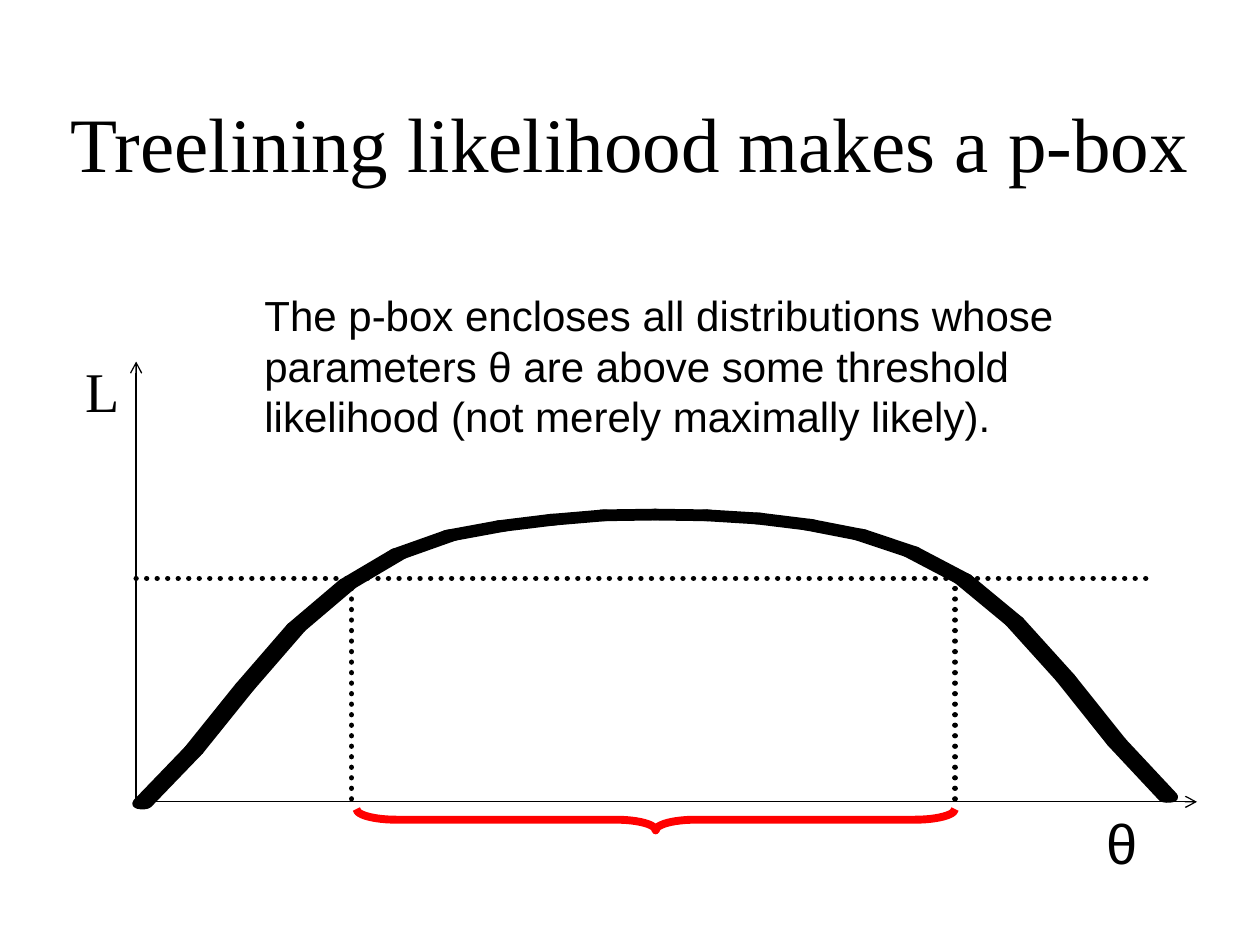
"""Build a slide showing how a likelihood threshold makes a p-box."""
from itertools import pairwise
from math import atan2, cos, pi, sin

from pptx import Presentation
from pptx.dml.color import RGBColor
from pptx.enum.dml import MSO_LINE
from pptx.enum.shapes import MSO_CONNECTOR, MSO_SHAPE
from pptx.enum.text import MSO_ANCHOR, MSO_AUTO_SIZE, PP_ALIGN
from pptx.oxml.ns import qn
from pptx.util import Pt
from lxml.etree import SubElement

COLORS = {"ink": "000000", "brace": "FF0000"}
AXIS_LEFT, AXIS_BOTTOM = 77.8, 458.2
THRESHOLD, INTERVAL = 330.5, (200.9, 545.8)
CURVE_LEFT, CURVE_STEP = 81.4, 29.3
CURVE_HEIGHTS = (
    459.2, 428.8, 392.4, 358.6, 333.7, 316.4, 306, 300.6, 297, 294.5, 294.1,
    294.5, 296.3, 299.9, 305.6, 315.4, 330.8, 355, 387.4, 424.1, 455.4,
)
NIB_WIDTH, NIB_HEIGHT, NIB_STEPS = 3.6, 1.1, 6


def place(shape, left, top, width, height):
    for name, value in zip(("left", "top", "width", "height"), (left, top, width, height)):
        setattr(shape, name, Pt(value))


def format_line(shape, color, width):
    shape.line.color.rgb = RGBColor.from_string(COLORS[color])
    shape.line.width = Pt(width)


def write_text(shape, text, font, frame, alignment=PP_ALIGN.LEFT):
    text_frame = shape.text_frame
    for name, value in frame.items():
        setattr(text_frame, name, value)
    paragraph = text_frame.paragraphs[0]
    paragraph.text = text
    paragraph.alignment = alignment
    for name, value in font.items():
        setattr(paragraph.runs[0].font, name, value)
    paragraph.runs[0].font.color.rgb = RGBColor.from_string(COLORS["ink"])


def add_text(shapes, box, text, typeface, size, wrap):
    frame = {"word_wrap": wrap, "auto_size": MSO_AUTO_SIZE.SHAPE_TO_FIT_TEXT}
    shape = shapes.add_textbox(*map(Pt, box))
    write_text(shape, text, {"name": typeface, "size": Pt(size)}, frame)


def add_line(shapes, start, end, width, dotted=False):
    connector = shapes.add_connector(MSO_CONNECTOR.STRAIGHT, *map(Pt, (*start, *end)))
    format_line(connector, "ink", width)
    properties = connector.element.spPr
    line = properties.find(qn("a:ln"))
    if dotted:
        connector.line.dash_style = MSO_LINE.ROUND_DOT
        line.set("cap", "rnd")
    else:
        SubElement(line, qn("a:tailEnd"), type="arrow")
    SubElement(properties, qn("a:effectLst"))


def nib_arc(center, first_angle):
    angles = [first_angle + pi * step / NIB_STEPS for step in range(NIB_STEPS + 1)]
    return [
        (Pt(center[0] + NIB_WIDTH * cos(angle)), Pt(center[1] + NIB_HEIGHT * sin(angle)))
        for angle in angles
    ]


def add_stroke(shapes, start, end):
    heading = atan2((end[1] - start[1]) / NIB_HEIGHT, (end[0] - start[0]) / NIB_WIDTH)
    outline = nib_arc(end, heading - pi / 2) + nib_arc(start, heading + pi / 2)
    builder = shapes.build_freeform(*outline[0])
    builder.add_line_segments(outline[1:], close=True)
    shape = builder.convert_to_shape()
    shape.shadow.inherit = False
    shape.fill.solid()
    shape.fill.fore_color.rgb = RGBColor.from_string(COLORS["ink"])
    format_line(shape, "ink", 4.5)


def add_curve(slide):
    shapes = slide.shapes.add_group_shape().shapes
    points = [(CURVE_LEFT + CURVE_STEP * i, y) for i, y in enumerate(CURVE_HEIGHTS)]
    for start, end in pairwise(points):
        add_stroke(shapes, start, end)


def add_axes(slide):
    shapes = slide.shapes.add_group_shape().shapes
    origin = (AXIS_LEFT, AXIS_BOTTOM)
    for end in ((684, AXIS_BOTTOM), (AXIS_LEFT, 206.6)):
        add_line(shapes, origin, end, 0.75)


def add_brace(slide):
    brace = slide.shapes.add_shape(MSO_SHAPE.LEFT_BRACE, *map(Pt, (368.6, 297.4, 12.2, 342)))
    brace.rotation = 270
    brace.adjustments[0] = 1.864
    brace.adjustments[1] = 0.5
    brace.shadow.inherit = False
    brace.fill.background()
    format_line(brace, "brace", 4.5)


def add_interval(slide):
    shapes = slide.shapes.add_group_shape().shapes
    for x in INTERVAL:
        add_line(shapes, (x, 456.5), (x, THRESHOLD), 3, dotted=True)


def add_title(slide, text):
    title = slide.shapes.title
    place(title, 0, 36, 720, 90)
    frame = {"vertical_anchor": MSO_ANCHOR.MIDDLE, "word_wrap": True, "auto_size": MSO_AUTO_SIZE.NONE}
    write_text(title, text, {"name": "Times New Roman", "size": Pt(44)}, frame, PP_ALIGN.CENTER)


def main():
    presentation = Presentation()
    presentation.slide_width, presentation.slide_height = Pt(720), Pt(540)
    slide = presentation.slides.add_slide(presentation.slide_layouts[5])
    add_title(slide, "Treelining likelihood makes a p-box")
    add_curve(slide)
    add_axes(slide)
    add_text(slide.shapes, (41.8, 200.2, 33.8, 45.4), "L", "Times New Roman", 32, False)
    add_text(slide.shapes, (625, 458.6, 31, 45.4), "θ", "Arial", 32, False)
    add_brace(slide)
    add_line(slide.shapes, (AXIS_LEFT, THRESHOLD), (660.2, THRESHOLD), 3, dotted=True)
    add_text(
        slide.shapes, (144, 162, 545.8, 93.6),
        "The p-box encloses all distributions whose parameters θ are above some "
        "threshold likelihood (not merely maximally likely).",
        "Arial", 24, True,
    )
    add_interval(slide)
    presentation.save("out.pptx")


if __name__ == "__main__":
    main()
